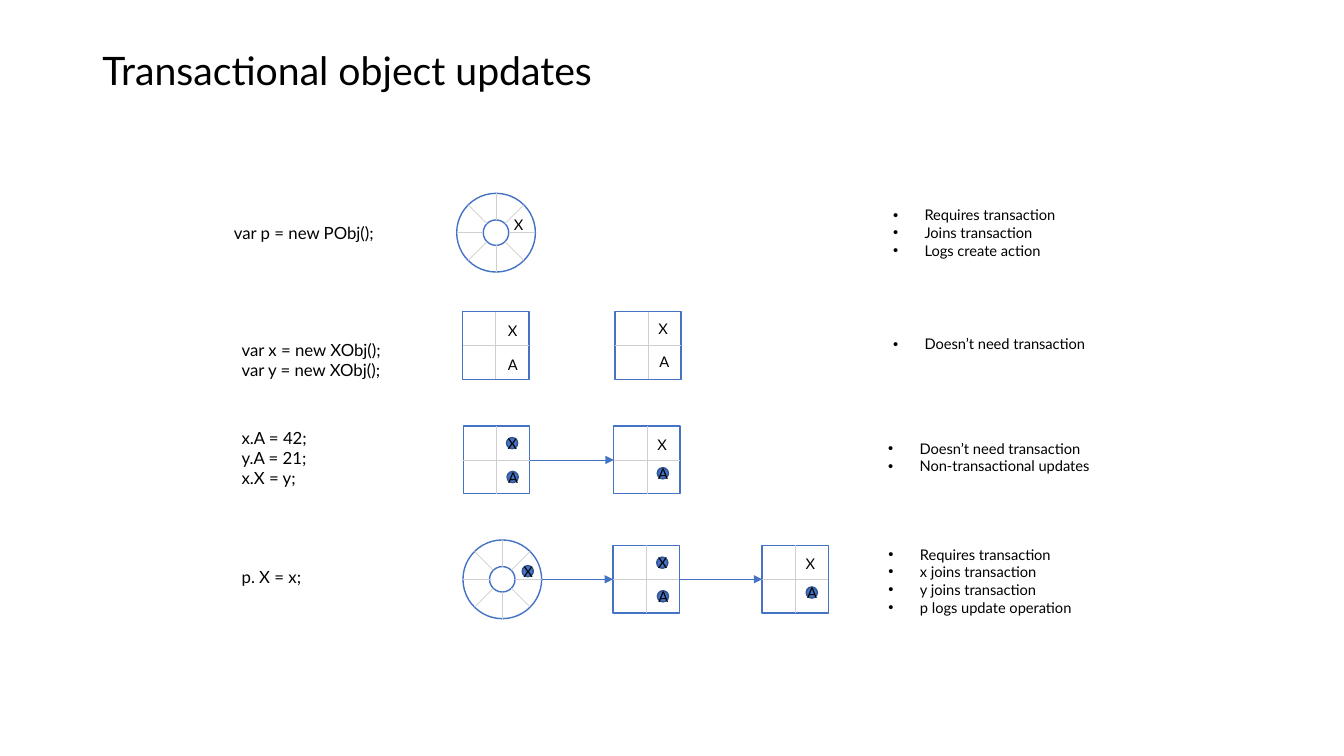
from dataclasses import dataclass
from math import cos, pi, sin

from lxml import etree
from pptx import Presentation
from pptx.dml.color import RGBColor
from pptx.enum.shapes import MSO_CONNECTOR, MSO_SHAPE
from pptx.enum.text import MSO_ANCHOR, MSO_AUTO_SIZE, PP_ALIGN
from pptx.oxml.ns import qn
from pptx.util import Pt

STRAIGHT, CURVE = MSO_CONNECTOR.STRAIGHT, MSO_CONNECTOR.CURVE
OVAL, RECT = MSO_SHAPE.OVAL, MSO_SHAPE.RECTANGLE
LEFT, CENTER = PP_ALIGN.LEFT, PP_ALIGN.CENTER
MIDDLE, NO_FIT = MSO_ANCHOR.MIDDLE, MSO_AUTO_SIZE.NONE


@dataclass(frozen=True)
class Theme:
    font: str = "Lato"
    ink: str = "000000"
    paper: str = "FFFFFF"
    blue: str = "4472C4"
    dark_blue: str = "325491"
    grey: str = "D0CECE"
    title: float = 28
    code: float = 12
    small: float = 10.5
    outline: float = 1
    hairline: float = 0.5


T = Theme()
RING, HUB = 56.2, 18.2
GRID_W, GRID_H = 47.4, 48.3
LABEL_W, LABEL_H = 21, 20.5
DOT = 8
DOT_DX, DOT_DY = 6.3, 6.1
INDENT = 22.5
ROW_LEFT, ROW_W, ROW_H = 160, 640, 64


def set_attrs(obj, values):
    for name, value in values.items():
        setattr(obj, name, value)


def place(sp, x, y, w, h):
    set_attrs(sp, dict(left=Pt(x), top=Pt(y), width=Pt(w), height=Pt(h)))


def write(sp, lines, size, align=LEFT, margin=7.2, spacing=1.0, bullet=False):
    tf = sp.text_frame
    set_attrs(tf, dict(word_wrap=True, auto_size=NO_FIT, vertical_anchor=MIDDLE,
                       margin_left=Pt(margin), margin_right=Pt(margin),
                       margin_top=0, margin_bottom=0))
    for i, line in enumerate(lines):
        p = tf.add_paragraph() if i else tf.paragraphs[0]
        set_attrs(p, dict(alignment=align, line_spacing=spacing,
                          space_before=Pt(0), space_after=Pt(0)))
        if bullet:
            pPr = p._p.get_or_add_pPr()
            pPr.set("marL", str(Pt(INDENT)))
            pPr.set("indent", str(-Pt(INDENT)))
            etree.SubElement(pPr, qn("a:buFont")).set("typeface", "Arial")
            etree.SubElement(pPr, qn("a:buChar")).set("char", "•")
        r = p.add_run()
        r.text = line
        set_attrs(r.font, dict(name=T.font, size=Pt(size), bold=False))
        r.font.color.rgb = RGBColor.from_string(T.ink)


def add_figure(shapes, kind, x, y, w, h, fill=T.paper, line=T.blue):
    sp = shapes.add_shape(kind, Pt(x), Pt(y), Pt(w), Pt(h))
    sp.shadow.inherit = False
    sp.fill.solid()
    sp.fill.fore_color.rgb = RGBColor.from_string(fill)
    sp.line.color.rgb = RGBColor.from_string(line)
    sp.line.width = Pt(T.outline)


def add_line(shapes, x1, y1, x2, y2, color=T.grey, kind=STRAIGHT, arrow=False):
    cxn = shapes.add_connector(kind, Pt(x1), Pt(y1), Pt(x2), Pt(y2))
    cxn.line.color.rgb = RGBColor.from_string(color)
    cxn.line.width = Pt(T.hairline)
    if arrow:
        etree.SubElement(cxn.line._get_or_add_ln(), qn("a:tailEnd")).set("type", "triangle")
    etree.SubElement(cxn._element.spPr, qn("a:effectLst"))


def add_text(shapes, x, y, w, h, lines, size, **style):
    write(shapes.add_textbox(Pt(x), Pt(y), Pt(w), Pt(h)), lines, size, **style)


def draw_ring(slide, x, cy):
    """Persistent object: a ring of eight sectors; returns its size."""
    shapes = slide.shapes.add_group_shape().shapes
    cx = x + RING / 2
    for size in (RING, HUB):
        add_figure(shapes, OVAL, cx - size / 2, cy - size / 2, size, size)
    for k in range(8):
        dx, dy = cos(k * pi / 4) / 2, sin(k * pi / 4) / 2
        add_line(shapes, cx + RING * dx, cy + RING * dy, cx + HUB * dx, cy + HUB * dy)
    return RING, RING


def draw_grid(slide, x, cy):
    """Transient object: a square of four fields; returns its size."""
    shapes = slide.shapes.add_group_shape().shapes
    top, cx = cy - GRID_H / 2, x + GRID_W / 2
    add_figure(shapes, RECT, x, top, GRID_W, GRID_H)
    add_line(shapes, cx, top, cx, top + GRID_H)
    add_line(shapes, x, cy, x + GRID_W, cy)
    return GRID_W, GRID_H


def draw_field(slide, x, y, name, is_set):
    if is_set:
        add_figure(slide.shapes, OVAL, x + DOT_DX, y + DOT_DY, DOT, DOT, T.blue, T.dark_blue)
    add_text(slide.shapes, x, y, LABEL_W, LABEL_H, [name], T.small, align=CENTER, margin=0)


def draw_title(slide, box):
    sp = slide.shapes.title
    place(sp, *box)
    write(sp, ["Transactional object updates"], T.title, spacing=0.9)


def draw_step(slide, box, step, body):
    """One row: code, objects with their links, and notes."""
    left, top, w, h = box
    cy = top + h / 2
    # Code
    dx, dy, lines = step["code"]
    add_text(slide.shapes, left + dx, top + dy, 137, h, lines, T.code)
    # Objects, each linked to the one before where the row says so
    end = None
    for draw, dx, fields in step["objects"]:
        x = left + dx
        width, height = draw(slide, x, cy)
        if step["linked"] and end is not None:
            add_line(slide.shapes, end, cy, x, cy, T.blue, CURVE, arrow=True)
        end = x + width
        for name, fx, fy, is_set in fields:
            draw_field(slide, x + fx, cy - height / 2 + fy, name, is_set)
    # Notes
    dx, dy, lines = step["notes"]
    place(body, left + dx, top + dy, w - dx, h)
    write(body, lines, T.small, bullet=True)


# Fields: name, offset in the object, whether a value is set
STEPS = [
    dict(centre=166.2, linked=False,
         code=(0, 0, ["var p = new PObj();"]),
         objects=[(draw_ring, 166.2, [("X", 33.8, 11.8, False)])],
         notes=(470.7, 0, ["Requires transaction", "Joins transaction", "Logs create action"])),
    dict(centre=246.8, linked=False,
         code=(5.5, 10.4, ["var x = new XObj();", "var y = new XObj();"]),
         objects=[(draw_grid, 170.4, [("X", 25.2, 3.4, False), ("A", 25.4, 27.3, False)]),
                  (draw_grid, 279.2, [("X", 24, 2, False), ("A", 24.8, 25.2, False)])],
         notes=(470.7, -1, ["Doesn’t need transaction"])),
    dict(centre=328.6, linked=True,
         code=(5.5, -1.4, ["x.A = 42;", "y.A = 21;", "x.X = y;"]),
         objects=[(draw_grid, 171, [("X", 24.5, 2, True), ("A", 24.9, 26.2, True)]),
                  (draw_grid, 278.4, [("X", 24, 3, False), ("A", 24.8, 23.5, True)])],
         notes=(467.2, -2, ["Doesn’t need transaction", "Non-transactional updates"])),
    dict(centre=413.8, linked=True,
         code=(5.5, -2, ["p. X = x;"]),
         objects=[(draw_ring, 170.7, [("X", 36, 12.2, True)]),
                  (draw_grid, 277.9, [("X", 24.9, 2.2, True), ("A", 25.4, 26.2, True)]),
                  (draw_grid, 384.4, [("X", 24, 3, False), ("A", 25.2, 23.5, True)])],
         notes=(467.4, 1, ["Requires transaction", "x joins transaction",
                           "y joins transaction", "p logs update operation"])),
]

prs = Presentation()
set_attrs(prs, dict(slide_width=Pt(960), slide_height=Pt(540)))
comparison = prs.slide_layouts[4]  # title and four bodies
slide = prs.slides.add_slide(comparison)
title, *bodies = slide.placeholders
draw_title(slide, (66, 28.8, 828, 46.8))
for step, body in zip(STEPS, bodies):
    draw_step(slide, (ROW_LEFT, step["centre"] - ROW_H / 2, ROW_W, ROW_H), step, body)
prs.save("out.pptx")
